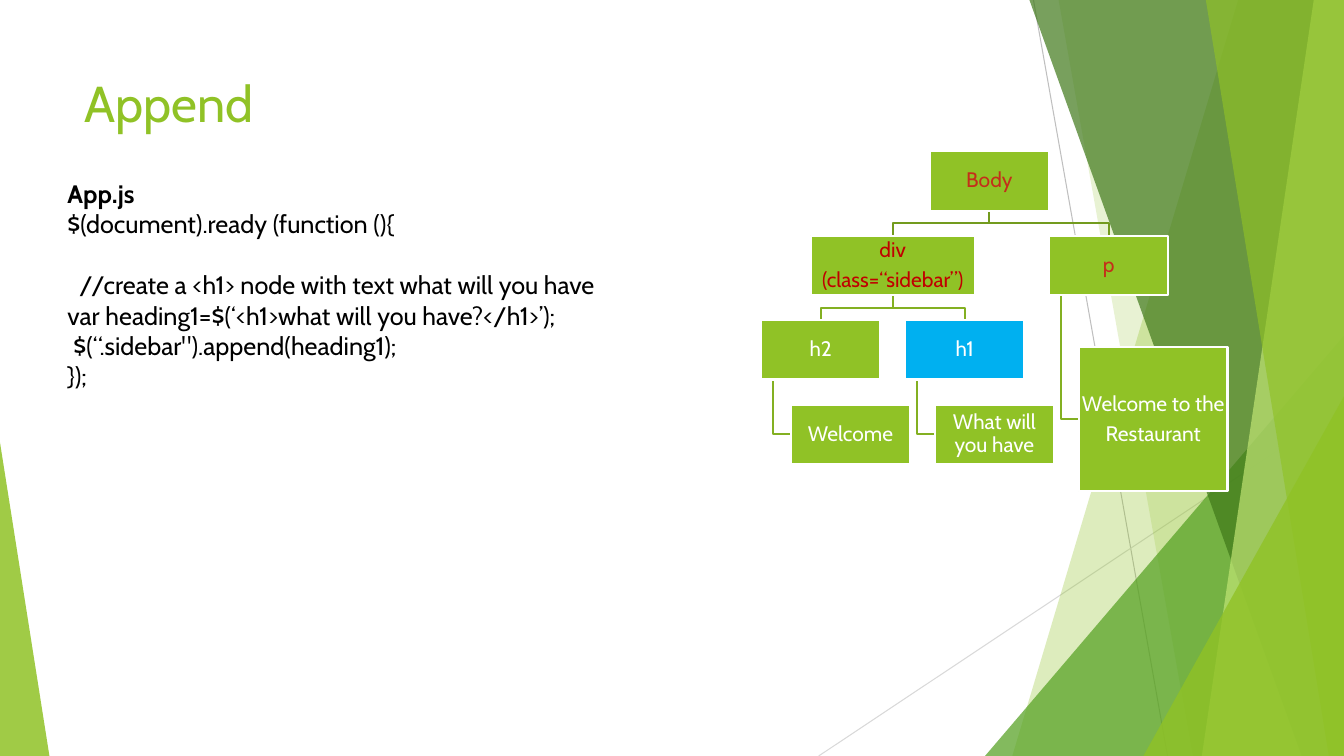
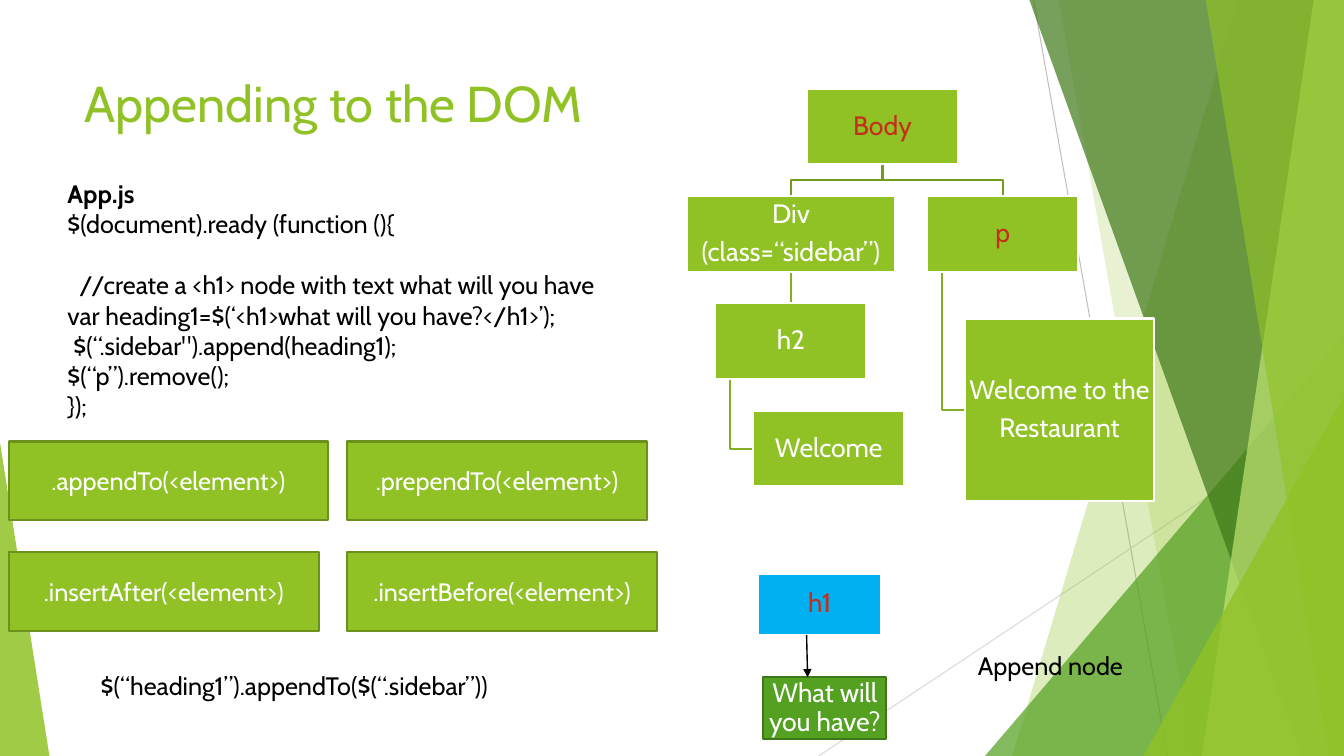
from dataclasses import dataclass, field

from lxml.etree import SubElement
from pptx import Presentation
from pptx.dml.color import RGBColor
from pptx.enum.shapes import MSO_CONNECTOR, MSO_SHAPE
from pptx.enum.text import MSO_ANCHOR, MSO_AUTO_SIZE, PP_ALIGN
from pptx.oxml.ns import qn
from pptx.util import Inches, Pt


@dataclass(frozen=True)
class Theme:
    font: str = "Cabin"
    title_size: float = 36
    text_size: float = 18
    green: str = "90C226"
    leaf: str = "54A021"
    leaf_edge: str = "3E7618"
    forest: str = "3F7819"
    lime: str = "C0E474"
    button_edge: str = "6B901C"
    root_link: str = "739B1E"
    link: str = "83B022"
    blue: str = "00B0F0"
    red: str = "C42F1A"
    dark_red: str = "C00000"
    white: str = "FFFFFF"
    black: str = "000000"
    gray: str = "BFBFBF"
    pale_gray: str = "D9D9D9"


THEME = Theme()
WIDTH, HEIGHT = 13.33, 7.5


@dataclass
class Node:
    """A tree box; width and height are multiples of the tree's usual box."""
    text: str
    children: list = field(default_factory=list)
    fill: str = THEME.green
    color: str = THEME.white
    width: float = 1
    height: float = 1
    drop: float = 0
    box: tuple = ()

    @property
    def stacks(self):
        return all(not child.children for child in self.children)


# Drawing helpers
def color_of(value):
    return RGBColor.from_string(value)


def paint(shape, fill=None, line=None, alpha=None, weight=1.5):
    shape.shadow.inherit = False
    if fill:
        shape.fill.solid()
        shape.fill.fore_color.rgb = color_of(fill)
        if alpha:
            color = shape.element.spPr.find(qn("a:solidFill"))[0]
            SubElement(color, qn("a:alpha"), val=str(alpha * 1000))
    else:
        shape.fill.background()
    if line:
        shape.line.color.rgb = color_of(line)
        shape.line.width = Pt(weight)
    else:
        shape.line.fill.background()
    return shape


def style(para, size, color, align=PP_ALIGN.LEFT):
    para.font.name = THEME.font
    para.font.size = Pt(size)
    para.font.color.rgb = color_of(color)
    para.alignment = align


def add_path(page, points, close):
    corners = [(Inches(x), Inches(y)) for x, y in points]
    builder = page.shapes.build_freeform(*corners[0])
    builder.add_line_segments(corners[1:], close=close)
    return builder.convert_to_shape()


def add_line(page, start, end, color, weight, arrow=False):
    line = page.shapes.add_connector(MSO_CONNECTOR.STRAIGHT, *map(Inches, start + end))
    line.line.color.rgb = color_of(color)
    line.line.width = Pt(weight)
    properties = line.element.spPr
    if arrow:
        SubElement(properties.find(qn("a:ln")), qn("a:tailEnd"), type="triangle")
    SubElement(properties, qn("a:effectLst"))
    return line


def add_box(page, box, text, size, fill, line, color=THEME.white, tight=True):
    shape = page.shapes.add_shape(MSO_SHAPE.RECTANGLE, *map(Inches, box))
    paint(shape, fill, line)
    frame = shape.text_frame
    frame.word_wrap = True
    frame.vertical_anchor = MSO_ANCHOR.MIDDLE
    if tight:
        frame.margin_left = frame.margin_right = Inches(0.01)
        frame.margin_top = frame.margin_bottom = Inches(0.01)
    frame.text = text
    for para in frame.paragraphs:
        style(para, size, color, PP_ALIGN.CENTER)
        if tight:
            para.line_spacing = 0.9
            para.space_after = Pt(size * 0.35)


def add_label(page, box, text):
    frame = page.shapes.add_textbox(*map(Inches, box)).text_frame
    frame.word_wrap = False
    frame.text = text
    style(frame.paragraphs[0], THEME.text_size, THEME.black)


# Shared layout
def draw_facets(page):
    def band(top_x, bottom_x, color, alpha):
        points = [(top_x, 0), (WIDTH, 0), (WIDTH, HEIGHT), (bottom_x, HEIGHT)]
        return paint(add_path(page, points, True), color, alpha=alpha)

    def triangle(left, top, width, peak, color, alpha):
        shape = page.shapes.add_shape(
            MSO_SHAPE.ISOSCELES_TRIANGLE,
            *map(Inches, (left, top, width, HEIGHT - top)))
        shape.adjustments[0] = peak
        return paint(shape, color, alpha=alpha)

    return [
        add_line(page, (10.25, 0), (11.58, HEIGHT), THEME.gray, 0.75),
        add_line(page, (WIDTH, 4.03), (8.12, HEIGHT), THEME.pale_gray, 0.75),
        band(12.28, 10.04, THEME.green, 30),
        band(10.5, 11.83, THEME.green, 20),
        triangle(9.77, 3.33, 3.56, 1, THEME.leaf, 72),
        band(10.21, 12.91, THEME.forest, 70),
        band(13.03, 11.92, THEME.lime, 70),
        band(11.96, 13.18, THEME.green, 65),
        triangle(11.34, 3.93, 1.99, 1, THEME.green, 80),
        triangle(0, 4.39, 0.49, 0, THEME.green, 85),
    ]


def prepare_layout(deck, page):
    """Draw the facets on a page and move them to its layout."""
    layout = page.slide_layout
    title = layout.placeholders[0]
    title.left, title.top = Inches(0.74), Inches(0.67)
    title.width, title.height = Inches(9.4), Inches(1.44)
    tree = title.element.getparent()
    for position, shape in enumerate(draw_facets(page), start=2):
        tree.insert(position, shape.element)


def add_title(page, text):
    frame = page.shapes.title.text_frame
    frame.text = text
    frame.auto_size = MSO_AUTO_SIZE.NONE
    frame.vertical_anchor = MSO_ANCHOR.TOP
    style(frame.paragraphs[0], THEME.title_size, THEME.green)


# Code listing: each line has its text, indent and space before
CODE = [
    ("App.js", 0, 0),
    ("$(document).ready (function (){", 0, 0),
    ("//create a <h1> node with text what will you have", 0.12, 22),
    ("var heading1=$(‘<h1>what will you have?</h1>’);", 0, 0),
    ("$(“.sidebar\").append(heading1);", 0.06, 0),
]
CODE_END = ("});", 0, 0)


def add_code(page, box, lines):
    frame = page.shapes.add_textbox(*map(Inches, box)).text_frame
    frame.word_wrap = True
    frame.text = "\n".join(text for text, _, _ in lines)
    for para, (_, indent, before) in zip(frame.paragraphs, lines):
        style(para, THEME.text_size, THEME.black)
        para.space_before = Pt(before)
        para._p.get_or_add_pPr().set("marL", str(Inches(indent)))
    frame.paragraphs[0].font.bold = True


# Document tree
def row_width(nodes, unit):
    return sum(span(node, unit) for node in nodes) + 0.21 * unit * (len(nodes) - 1)


def span(node, unit):
    own = node.width * unit
    return own if node.stacks else max(own, row_width(node.children, unit))


def arrange(node, left, top, unit):
    """Centre a node over its children, or hang leaves below its left side."""
    width, height = node.width * unit, node.height * unit / 2
    below = top + 0.71 * unit
    if node.stacks:
        for child in node.children:
            arrange(child, left + unit / 4, below + child.drop, unit)
    else:
        total = span(node, unit)
        start = left + (total - row_width(node.children, unit)) / 2
        for child in node.children:
            arrange(child, start, below, unit)
            start += span(child, unit) + 0.21 * unit
        first, last = node.children[0].box, node.children[-1].box
        left = (first[0] + last[0] + last[2] - width) / 2
    node.box = (left, top, width, height)


def draw_links(page, node, unit, color):
    left, top, width, height = node.box
    bottom, center = top + height, left + width / 2
    for child in node.children:
        x, y, child_width, child_height = child.box
        if node.stacks:
            stem, middle = left + unit / 10, y + child_height / 2
            points = [(stem, bottom), (stem, middle), (x, middle)]
        else:
            target, middle = x + child_width / 2, (bottom + y) / 2
            points = [(center, bottom), (center, middle), (target, middle), (target, y)]
        paint(add_path(page, points, False), line=color)
        draw_links(page, child, unit, THEME.link)


def draw_nodes(page, node, size):
    add_box(page, node.box, node.text, size, node.fill, THEME.white, node.color)
    for child in node.children:
        draw_nodes(page, child, size)


def add_tree(page, left, top, unit, size, root):
    arrange(root, left, top, unit)
    draw_links(page, root, unit, THEME.root_link)
    draw_nodes(page, root, size)


def document_tree(sidebar, drop):
    welcome = Node("Welcome to the\nRestaurant", width=1.25, height=2.42, drop=drop)
    return Node("Body", [sidebar, Node("p", [welcome], color=THEME.red)], color=THEME.red)


# Parts of the second slide
def add_method_buttons(page, left, top):
    buttons = [
        [(".appendTo(<element>)", 3.16), (".prependTo(<element>)", 2.98)],
        [(".insertAfter(<element>)", 3.07), (".insertBefore(<element>)", 3.08)],
    ]
    for row, pair in enumerate(buttons):
        for column, (text, width) in enumerate(pair):
            box = (left + 3.35 * column, top + 1.1 * row, width, 0.78)
            add_box(page, box, text, THEME.text_size, THEME.green,
                    THEME.button_edge, tight=False)


def add_new_node(page, left, top, size):
    width, height = 1.22, 0.61
    add_box(page, (left, top, width, height), "h1", size,
            THEME.blue, THEME.white, THEME.red)
    add_box(page, (left + 0.05, top + 1.03, width, height), "What will you have?",
            size, THEME.leaf, THEME.leaf_edge)
    add_line(page, (left + 0.48, top + height), (left + 0.49, top + 1.03),
             THEME.black, 1, arrow=True)


def build_append(page):
    add_title(page, "Append")
    add_code(page, (0.57, 1.72, 6.67, 2.22), CODE + [CODE_END])
    sidebar = Node("div\n(class=“sidebar”)", [
        Node("h2", [Node("Welcome")]),
        Node("h1", [Node("What will you have")], fill=THEME.blue),
    ], color=THEME.dark_red, width=1.38)
    add_tree(page, 7.55, 1.5, 1.18, 15, document_tree(sidebar, 0.27))


def build_appending(page):
    add_title(page, "Appending to the DOM")
    add_new_node(page, 7.52, 5.69, 19)
    add_label(page, (9.6, 6.4, 1.68, 0.4), "Append node")
    add_code(page, (0.57, 1.72, 6.67, 2.52), CODE + [("$(“p”).remove();", 0, 0), CODE_END])
    add_method_buttons(page, 0.09, 4.38)
    sidebar = Node("Div\n(class=“sidebar”)", [Node("h2", [Node("Welcome")])], width=1.38)
    add_tree(page, 6.81, 0.88, 1.5, 19, document_tree(sidebar, 0.15))
    add_label(page, (0.9, 6.6, 4.67, 0.4), "$(“heading1”).appendTo($(“.sidebar”))")


def main():
    deck = Presentation()
    deck.slide_width, deck.slide_height = Inches(WIDTH), Inches(HEIGHT)
    title_only = deck.slide_layouts[5]
    pages = [deck.slides.add_slide(title_only) for _ in range(2)]
    prepare_layout(deck, pages[0])
    build_append(pages[0])
    build_appending(pages[1])
    deck.save("out.pptx")


if __name__ == "__main__":
    main()
